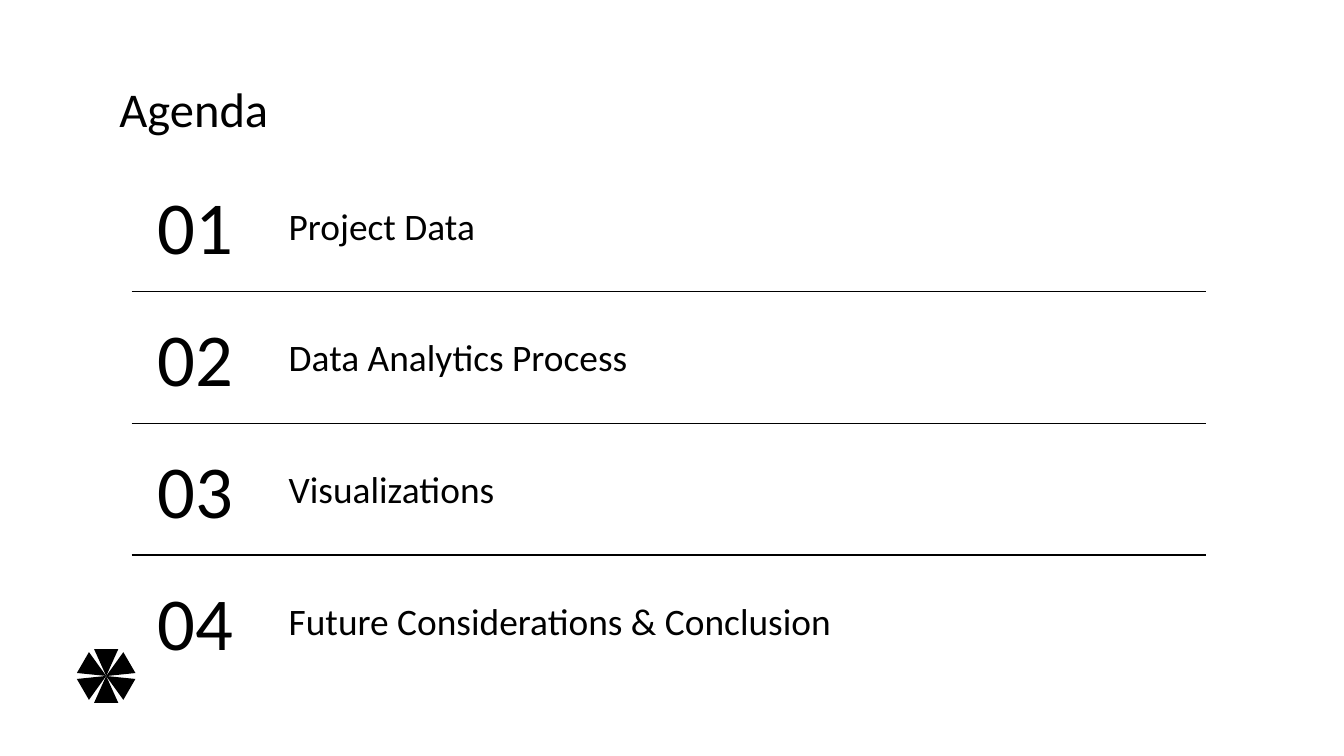
import math

import lxml.etree
import pptx
import pptx.dml.color
import pptx.enum.shapes
import pptx.enum.text
import pptx.oxml.ns
import pptx.util

SLIDE_WIDTH = 10
SLIDE_HEIGHT = SLIDE_WIDTH * 9 / 16
ROW_TOP, ROW_PITCH = 1.26, 0.98
NUMBER_LEFT, TOPIC_LEFT = 1.03, 2.05
RULE_LEFT, RULE_RIGHT, RULE_DROP = 0.98, 8.97, 0.91
INK = "000000"
TOPICS = [
    "Project Data",
    "Data Analytics Process",
    "Visualizations",
    "Future Considerations & Conclusion",
]
FRAME_FORMAT = {
    "word_wrap": True,
    "margin_left": pptx.util.Inches(0.1),
    "margin_top": pptx.util.Inches(0.1),
    "margin_right": pptx.util.Inches(0.1),
    "margin_bottom": pptx.util.Inches(0.1),
}
TOP = pptx.enum.text.MSO_ANCHOR.TOP
MIDDLE = pptx.enum.text.MSO_ANCHOR.MIDDLE
LEFT = pptx.enum.text.PP_ALIGN.LEFT
CENTER = pptx.enum.text.PP_ALIGN.CENTER


def inches(*lengths):
    return [pptx.util.Inches(length) for length in lengths]


def color(hex_value):
    return pptx.dml.color.RGBColor.from_string(hex_value)


def apply_format(target, values):
    for name, value in values.items():
        setattr(target, name, value)


def add_label(slide, words, box, size, anchor=MIDDLE, align=LEFT):
    frame = slide.shapes.add_textbox(*inches(*box)).text_frame
    apply_format(frame, {**FRAME_FORMAT, "vertical_anchor": anchor})
    paragraph = frame.paragraphs[0]
    paragraph.alignment = align
    run = paragraph.add_run()
    run.text = words
    apply_format(run.font, {"name": "Calibri", "size": pptx.util.Pt(size)})
    run.font.color.rgb = color(INK)


def add_rule(slide, y):
    rule = slide.shapes.add_connector(
        pptx.enum.shapes.MSO_CONNECTOR.STRAIGHT,
        *inches(RULE_LEFT, y, RULE_RIGHT, y),
    )
    rule.line.width = pptx.util.Pt(0.75)
    rule.line.color.rgb = color(INK)
    lxml.etree.SubElement(rule._element.spPr, pptx.oxml.ns.qn("a:effectLst"))


def add_agenda_row(slide, index, topic):
    top = ROW_TOP + index * ROW_PITCH
    add_label(slide, f"{index + 1:02d}", (NUMBER_LEFT, top, 0.85, 0.83), 40, align=CENTER)
    add_label(slide, topic, (TOPIC_LEFT, top + 0.2, 4.24, 0.43), 20)
    if index < len(TOPICS) - 1:
        add_rule(slide, top + RULE_DROP)


def add_rosette(slide, center_x, center_y, petal_width, petal_height):
    rosette = slide.shapes.add_group_shape()
    for angle in range(0, 360, 60):
        turn = math.radians(angle)
        x = center_x - petal_height / 2 * math.sin(turn)
        y = center_y + petal_height / 2 * math.cos(turn)
        petal = rosette.shapes.add_shape(
            pptx.enum.shapes.MSO_SHAPE.ISOSCELES_TRIANGLE,
            *inches(x - petal_width / 2, y - petal_height / 2, petal_width, petal_height),
        )
        petal.rotation = angle
        petal.shadow.inherit = False
        petal.fill.solid()
        petal.fill.fore_color.rgb = color(INK)
        petal.line.fill.background()


def main():
    deck = pptx.Presentation()
    deck.slide_width, deck.slide_height = inches(SLIDE_WIDTH, SLIDE_HEIGHT)
    slide = deck.slides.add_slide(deck.slide_layouts[6])
    add_label(slide, "Agenda", (0.79, 0.49, 8.43, 0.63), 26, anchor=TOP)
    for index, topic in enumerate(TOPICS):
        add_agenda_row(slide, index, topic)
    add_rosette(slide, 0.79, 5.03, 0.18, 0.2)
    deck.save("out.pptx")


if __name__ == "__main__":
    main()
